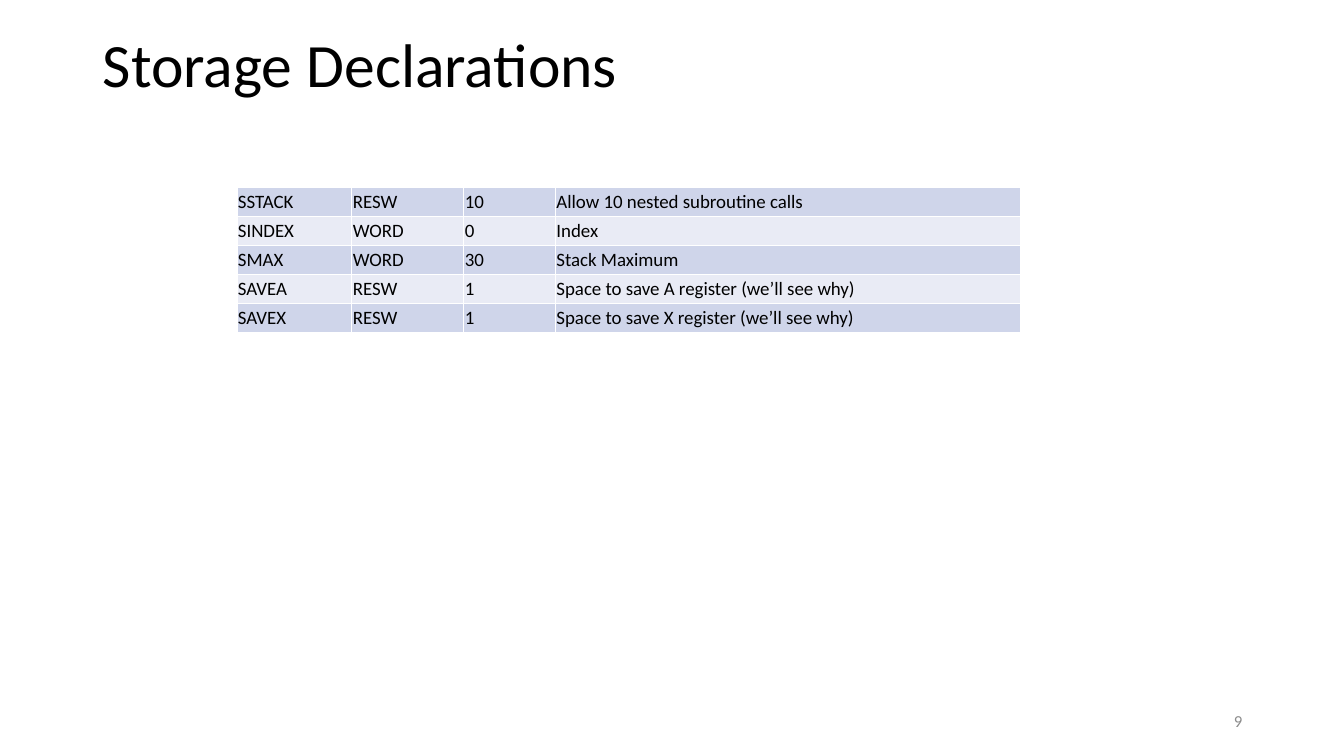
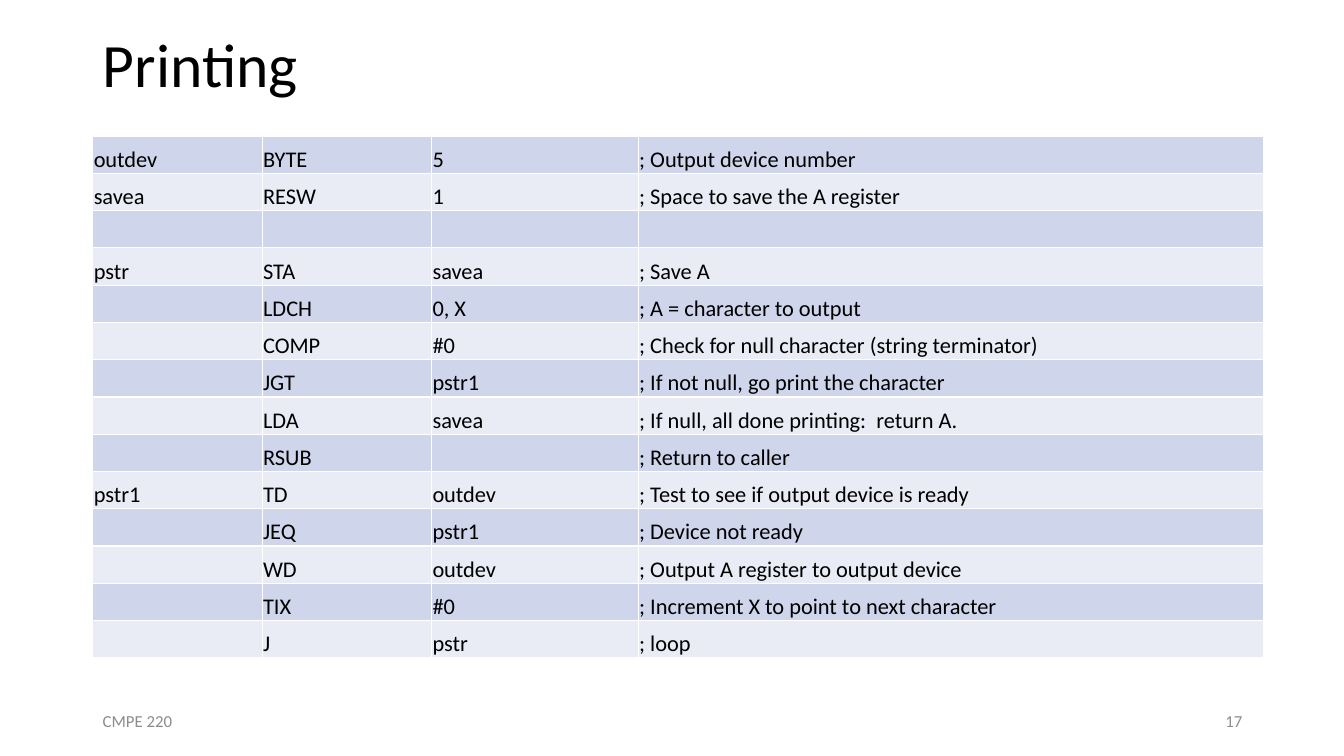
from lxml.etree import SubElement
from pptx import Presentation
from pptx.dml.color import RGBColor
from pptx.enum.text import MSO_ANCHOR, MSO_AUTO_SIZE, PP_ALIGN
from pptx.oxml.ns import qn
from pptx.util import Pt

PX = 9144
FONT = "Calibri"
COLORS = {
    "text": "000000",
    "footer": "8C8C8C",
    "band_dark": "CFD5EA",
    "band_light": "E9EBF5",
    "border": "FFFFFF",
}
LEFT = 92
TITLE_BOX = (LEFT, 0, 1150, 135)
FOOTER_BOX = (LEFT, 695, 300, 40)
NUMBER_BOX = (942, 695, 300, 40)

STORAGE_ROWS = [
    ("SSTACK", "RESW", "10", "Allow 10 nested subroutine calls"),
    ("SINDEX", "WORD", "0", "Index"),
    ("SMAX", "WORD", "30", "Stack Maximum"),
    ("SAVEA", "RESW", "1", "Space to save A register (we’ll see why)"),
    ("SAVEX", "RESW", "1", "Space to save X register (we’ll see why)"),
]
PRINTING_ROWS = [
    ("outdev", "BYTE", "5", "; Output device number"),
    ("savea", "RESW", "1", "; Space to save the A register"),
    ("", "", "", ""),
    ("pstr", "STA", "savea", "; Save A"),
    ("", "LDCH", "0, X", "; A = character to output"),
    ("", "COMP", "#0", "; Check for null character (string terminator)"),
    ("", "JGT", "pstr1", "; If not null, go print the character"),
    ("", "LDA", "savea", "; If null, all done printing:  return A."),
    ("", "RSUB", "", "; Return to caller"),
    ("pstr1", "TD", "outdev", "; Test to see if output device is ready"),
    ("", "JEQ", "pstr1", "; Device not ready"),
    ("", "WD", "outdev", "; Output A register to output device"),
    ("", "TIX", "#0", "; Increment X to point to next character"),
    ("", "J", "pstr", "; loop"),
]


def px(value):
    return round(value * PX)


def color(name):
    return RGBColor.from_string(COLORS[name])


def write(para, text, size, color_name="text"):
    span = para.add_run()
    span.text = text
    span.font.name = FONT
    span.font.size = Pt(size)
    span.font.color.rgb = color(color_name)


def add_page(deck, title):
    page = deck.slides.add_slide(deck.slide_layouts[5])
    box = page.shapes.title
    box.left, box.top, box.width, box.height = map(px, TITLE_BOX)
    frame = box.text_frame
    frame.auto_size = MSO_AUTO_SIZE.NONE
    frame.vertical_anchor = MSO_ANCHOR.MIDDLE
    para = frame.paragraphs[0]
    para.alignment = PP_ALIGN.LEFT
    para.line_spacing = 0.9
    write(para, title, 44)
    return page


def add_footer(page, bounds, text, alignment):
    frame = page.shapes.add_textbox(*map(px, bounds)).text_frame
    frame.word_wrap = True
    frame.vertical_anchor = MSO_ANCHOR.MIDDLE
    para = frame.paragraphs[0]
    para.alignment = alignment
    write(para, text, 12, "footer")


def add_borders(cell):
    properties = cell._tc.get_or_add_tcPr()
    for side in ("a:lnL", "a:lnR", "a:lnT", "a:lnB"):
        line = SubElement(properties, qn(side), w=str(Pt(1)))
        fill = SubElement(line, qn("a:solidFill"))
        SubElement(fill, qn("a:srgbClr"), val=COLORS["border"])


def fill_cell(cell, text, size, anchor, band):
    add_borders(cell)
    cell.fill.solid()
    cell.fill.fore_color.rgb = color(band)
    cell.vertical_anchor = anchor
    cell.margin_left = cell.margin_right = cell.margin_top = px(1)
    cell.margin_bottom = 0
    if text:
        write(cell.text_frame.paragraphs[0], text, size)


def add_code_table(page, left, top, widths, height, rows, size, anchor):
    bounds = (left, top, sum(widths), height)
    table = page.shapes.add_table(len(rows), len(widths), *map(px, bounds)).table
    table.first_row = False
    for column, width in zip(table.columns, widths):
        column.width = px(width)
    for index, texts in enumerate(rows):
        table.rows[index].height = px(height / len(rows))
        band = "band_light" if index % 2 else "band_dark"
        for cell, text in zip(table.rows[index].cells, texts):
            fill_cell(cell, text, size, anchor, band)


def main():
    deck = Presentation()
    deck.slide_width, deck.slide_height = px(1333), px(750)

    storage = add_page(deck, "Storage Declarations")
    add_code_table(storage, 235, 186, (114, 111, 91, 461), 144,
                   STORAGE_ROWS, 13.5, MSO_ANCHOR.MIDDLE)
    add_footer(storage, NUMBER_BOX, "9", PP_ALIGN.RIGHT)

    printing = add_page(deck, "Printing")
    add_code_table(printing, LEFT, 135, (168, 168, 205, 620), 518,
                   PRINTING_ROWS, 16, MSO_ANCHOR.BOTTOM)
    add_footer(printing, FOOTER_BOX, "CMPE 220", PP_ALIGN.LEFT)
    add_footer(printing, NUMBER_BOX, "17", PP_ALIGN.RIGHT)

    deck.save("out.pptx")


if __name__ == "__main__":
    main()
